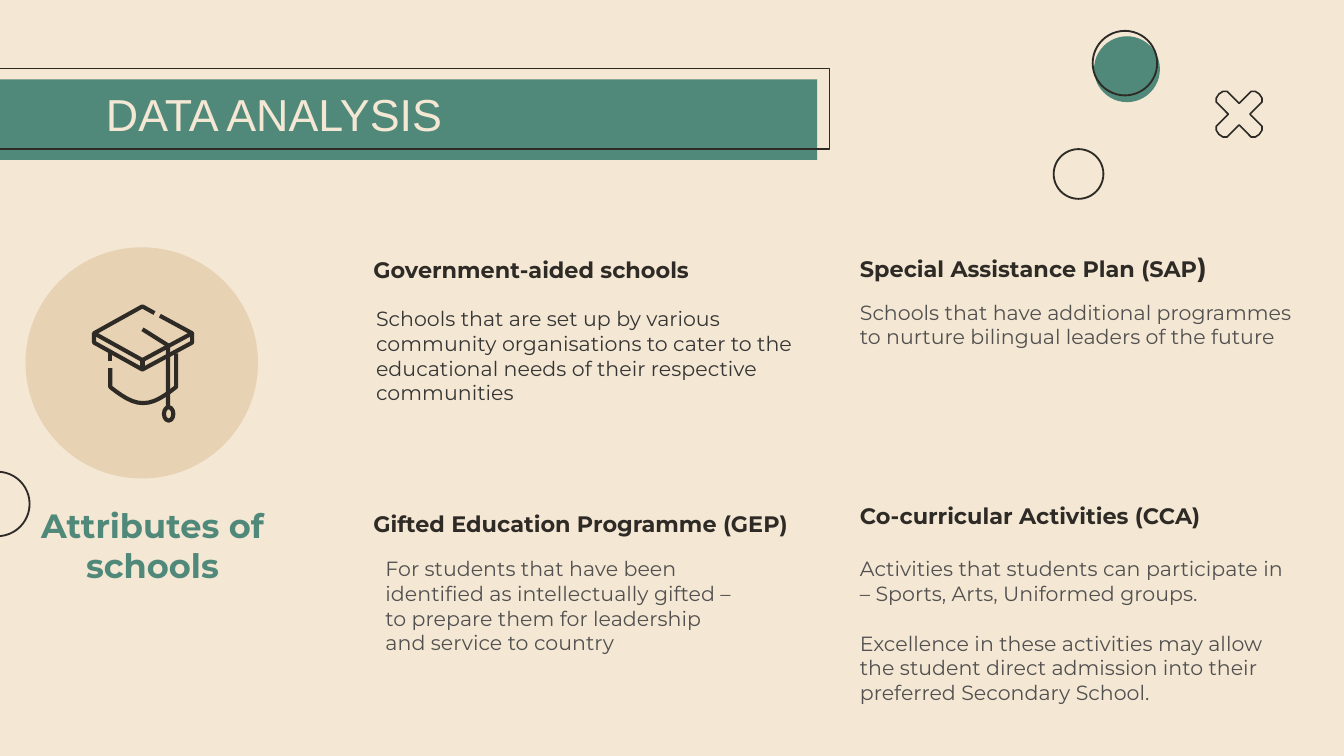
from dataclasses import dataclass
from math import cos, pi, sin

from lxml import etree
from pptx import Presentation
from pptx.dml.color import RGBColor
from pptx.enum.shapes import MSO_CONNECTOR, MSO_SHAPE
from pptx.enum.text import MSO_ANCHOR, MSO_AUTO_SIZE, PP_ALIGN
from pptx.oxml.ns import qn
from pptx.util import Inches, Pt

RECT, OVAL = MSO_SHAPE.RECTANGLE, MSO_SHAPE.OVAL
STRAIGHT = MSO_CONNECTOR.STRAIGHT
LEFT, CENTER = PP_ALIGN.LEFT, PP_ALIGN.CENTER
TOP, MIDDLE = MSO_ANCHOR.TOP, MSO_ANCHOR.MIDDLE
FIT_SHAPE, NO_FIT = MSO_AUTO_SIZE.SHAPE_TO_FIT_TEXT, MSO_AUTO_SIZE.NONE

CREAM, SAND, GREEN = "F4E7D4", "E7D2B4", "50897A"
INK, GREY, DARK_GREY = "2E2B26", "525150", "363635"
FONT = "Montserrat"
COL_1, COL_2 = 2.68, 6.3
CAP_STROKE = 2.2

Point = tuple[float, float]


@dataclass
class Label:
    x: float
    y: float
    w: float
    h: float
    paragraphs: list[str]
    size: float = 11
    color: str = GREY
    bold: bool = False
    font: str = FONT
    align: PP_ALIGN = LEFT
    anchor: MSO_ANCHOR = TOP
    wrap: bool = True
    gap: float = 0


def heading(x: float, y: float, w: float, text: str, wrap: bool = False) -> Label:
    return Label(x, y, w, 0.3, [text], 12, INK, True, wrap=wrap)


def rgb(color: str) -> RGBColor:
    return RGBColor.from_string(color)


def style(sp, fill: str | None, line: float | None) -> None:
    sp.shadow.inherit = False
    if fill:
        sp.fill.solid()
        sp.fill.fore_color.rgb = rgb(fill)
    else:
        sp.fill.background()
    if line:
        sp.line.color.rgb = rgb(INK)
        sp.line.width = Pt(line)
    else:
        sp.line.fill.background()


def add_shape(s, kind: MSO_SHAPE, x: float, y: float, w: float, h: float,
              fill: str | None = None, line: float | None = None) -> None:
    sp = s.shapes.add_shape(kind, Inches(x), Inches(y), Inches(w), Inches(h))
    style(sp, fill, line)


def add_outline(s, points: list[Point], width: float, close: bool = False) -> None:
    pts = [(Inches(x), Inches(y)) for x, y in points]
    builder = s.shapes.build_freeform(*pts[0])
    builder.add_line_segments(pts[1:], close=close)
    style(builder.convert_to_shape(), None, width)


def add_line(s, start: Point, end: Point, width: float) -> None:
    x1, y1, x2, y2 = (Inches(v) for v in start + end)
    line = s.shapes.add_connector(STRAIGHT, x1, y1, x2, y2)
    line.line.color.rgb = rgb(INK)
    line.line.width = Pt(width)
    etree.SubElement(line._element.spPr, qn("a:effectLst"))


def style_run(r, label: Label) -> None:
    r.font.name = label.font
    r.font.size = Pt(label.size)
    r.font.bold = label.bold
    r.font.color.rgb = rgb(label.color)


def add_label(s, label: Label):
    box = s.shapes.add_textbox(Inches(label.x), Inches(label.y),
                               Inches(label.w), Inches(label.h))
    tf = box.text_frame
    tf.word_wrap = label.wrap
    tf.auto_size = FIT_SHAPE if label.anchor == TOP else NO_FIT
    tf.vertical_anchor = label.anchor
    tf.text = "\n".join(label.paragraphs)
    for i, p in enumerate(tf.paragraphs):
        p.alignment = label.align
        if i and label.gap:
            p.space_before = Pt(label.gap)
        for r in p.runs:
            style_run(r, label)
    return box


def add_graduation_cap(s) -> None:
    # Board, its rim, and the bowl below it
    add_outline(s, [(1.15, 2.33), (1.06, 2.28), (0.7, 2.48), (1.06, 2.68),
                    (1.43, 2.48), (1.19, 2.35)], CAP_STROKE)
    add_outline(s, [(0.7, 2.48), (0.7, 2.55), (1.06, 2.75),
                    (1.43, 2.55), (1.43, 2.48)], CAP_STROKE)
    add_line(s, (1.06, 2.68), (1.06, 2.75), CAP_STROKE)
    add_line(s, (0.82, 2.62), (0.82, 2.69), CAP_STROKE)
    steps = 12
    bowl = [(0.82 + 0.49 * i / steps, 2.88 + 0.12 * sin(pi * i / steps))
            for i in range(steps + 1)]
    add_outline(s, [(0.82, 2.74), *bowl, (1.31, 2.63)], CAP_STROKE)
    # Tassel
    add_outline(s, [(1.06, 2.45), (1.25, 2.57), (1.25, 3.03)], CAP_STROKE)
    add_shape(s, OVAL, 1.22, 3.03, 0.07, 0.1, line=CAP_STROKE)


def add_cross(s, cx: float, cy: float) -> None:
    arm = [(0, -0.08), (0.09, -0.17), (0.12, -0.17), (0.15, -0.15),
           (0.17, -0.12), (0.17, -0.09)]
    points = []
    for turn in range(4):
        c, n = cos(turn * pi / 2), sin(turn * pi / 2)
        points += [(cx + x * c - y * n, cy + x * n + y * c) for x, y in arm]
    add_outline(s, points, 0.89, close=True)


LABELS = [
    Label(-0.02, 3.8, 2.31, 0.51, ["Attributes of schools"], 18, GREEN, True,
          align=CENTER, anchor=MIDDLE),
    Label(0.69, 0.59, 8.53, 0.51, ["DATA ANALYSIS"], 24, CREAM, font="Arial",
          anchor=MIDDLE),
    heading(COL_1, 1.86, 2.58, "Government-aided schools"),
    Label(2.7, 2.23, 3.43, 0.84,
          ["Schools that are set up by various community organisations to cater "
           "to the educational needs of their respective communities"],
          color=DARK_GREY),
    heading(COL_1, 3.75, 3.46, "Gifted Education Programme (GEP)", wrap=True),
    Label(2.77, 4.09, 2.77, 0.84,
          ["For students that have been identified as intellectually gifted – "
           "to prepare them for leadership and service to country"]),
    Label(COL_2, 2.18, 3.64, 0.47,
          ["Schools that have additional programmes",
           "to nurture bilingual leaders of the future"]),
    heading(COL_2, 3.69, 2.77, "Co-curricular Activities (CCA)"),
    Label(COL_2, 4.09, 3.43, 1.21,
          ["Activities that students can participate in – Sports, Arts, "
           "Uniformed groups.",
           "Excellence in these activities may allow the student direct "
           "admission into their preferred Secondary School."], gap=13.4),
]


def main() -> None:
    prs = Presentation()
    prs.slide_width = Inches(10)
    prs.slide_height = prs.slide_width * 9 // 16
    s = prs.slides.add_slide(prs.slide_layouts[6])
    s.background.fill.solid()
    s.background.fill.fore_color.rgb = rgb(CREAM)

    # Title band with its offset frame
    add_shape(s, RECT, -0.15, 0.59, 6.23, 0.6, fill=GREEN)
    add_shape(s, RECT, -0.15, 0.51, 6.32, 0.6, line=0.75)

    # Icon on its disc
    add_shape(s, OVAL, 0.19, 1.84, 1.73, 1.72, fill=SAND)
    add_graduation_cap(s)

    # Decorations: dot, rings and cross
    add_shape(s, OVAL, 8.14, 0.27, 0.49, 0.49, fill=GREEN)
    for x, y, size in [(8.13, 0.23, 0.48), (-0.26, 3.51, 0.48), (7.84, 1.11, 0.37)]:
        add_shape(s, OVAL, x, y, size, size, line=1)
    add_cross(s, 9.22, 0.85)

    # Text
    for label in LABELS:
        add_label(s, label)
    sap = heading(COL_2, 1.82, 2.81, "Special Assistance Plan (SAP")
    sap.h = 0.34
    r = add_label(s, sap).text_frame.paragraphs[0].add_run()
    r.text = ")"
    style_run(r, sap)
    r.font.size = Pt(14)

    prs.save("out.pptx")


if __name__ == "__main__":
    main()
